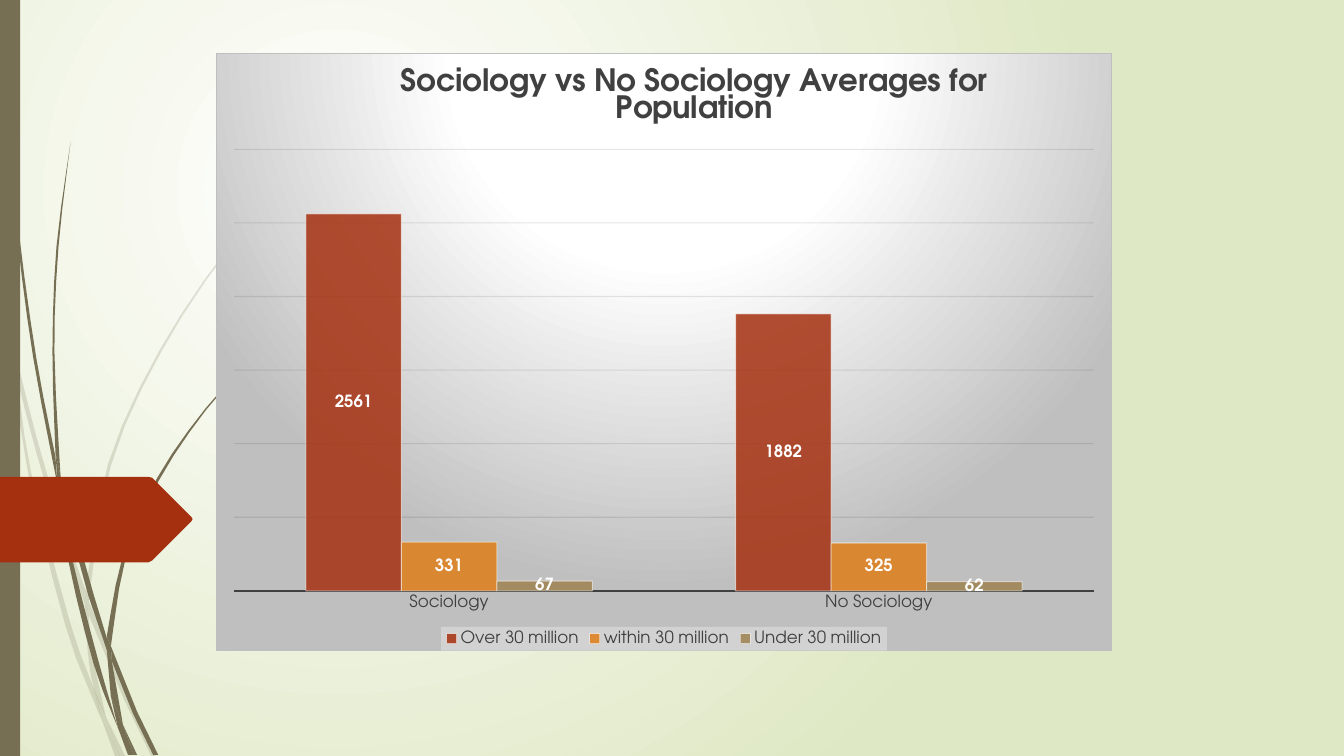
from lxml import etree
from pptx import Presentation, util as u
from pptx.chart.data import CategoryChartData
from pptx.dml.color import RGBColor
from pptx.enum import chart as ch, shapes
from pptx.oxml import parse_xml
from pptx.oxml.ns import nsdecls, qn

WIDTH, HEIGHT = u.Inches(13.33), u.Inches(7.5)
FONT = "TeX Gyre Adventor"
OLIVE = RGBColor(0x76, 0x6F, 0x54)
RED = RGBColor(0xA5, 0x30, 0x10)
ORANGE = RGBColor(0xDE, 0x7E, 0x18)
TAN = RGBColor(0x9F, 0x83, 0x51)
WHITE = RGBColor(0xFF, 0xFF, 0xFF)
PALE_GREEN = RGBColor(0xDF, 0xE8, 0xC4)
SILVER = RGBColor(0xBF, 0xBF, 0xBF)
MIST = RGBColor(0xF2, 0xF2, 0xF2)
INK = RGBColor(0x40, 0x40, 0x40)
BLACK = RGBColor(0x0D, 0x0D, 0x0D)

# Each blade of grass has two edges, listed from top to bottom in inches.
FADED_BLADES = [
    ([(0, 2.82), (.09, 3.22), (.11, 3.5)], [(0, 2.99), (.1, 3.44), (.11, 3.5)]),
    ([(.14, 3.45), (.36, 4.33), (.62, 5.2), (.85, 5.86)],
     [(.17, 3.76), (.36, 4.49), (.58, 5.22), (.84, 5.99)]),
    ([(.88, 5.96), (1.27, 6.92), (1.55, 7.5)], [(.88, 6.1), (1.23, 6.94), (1.5, 7.5)]),
    ([(1.05, 7.11), (1.24, 7.5)], [(1.05, 7.11), (1.19, 7.5)]),
    ([(.11, 3.5), (.17, 3.76), (.31, 4.69), (.7, 6.19), (.93, 6.83), (1.01, 7.14)],
     [(.11, 3.5), (.28, 4.7), (.65, 6.21), (.92, 6.93), (1.01, 7.14)]),
    ([(.84, 5.99), (.87, 6.46), (.93, 6.83), (1.05, 7.11)],
     [(.84, 5.99), (.88, 6.1), (.91, 6.46), (1.05, 7.11)]),
    ([(3.12, 1.53), (2.28, 2.44), (1.58, 3.48), (1.07, 4.61), (.85, 5.86)],
     [(3.12, 1.54), (2.29, 2.45), (1.6, 3.49), (1.1, 4.62), (.88, 5.96)]),
    ([(1.01, 7.14), (1.14, 7.5)], [(1.01, 7.14), (1.19, 7.5)]),
    ([(.85, 5.86), (.84, 5.99), (.88, 6.08)], [(.88, 5.96), (.88, 6.1)]),
    ([(.93, 6.83), (1.01, 7.14), (1.19, 7.5)], [(1.05, 7.11), (1.19, 7.5)]),
]
SOLID_BLADES = [
    ([(.03, 0), (.07, 1.1), (.17, 2.33), (.33, 3.55), (.57, 4.81)],
     [(.04, 0), (.08, 1.09), (.19, 2.32), (.36, 3.55), (.55, 4.53)]),
    ([(.6, 4.72), (.93, 5.9), (1.06, 6.33)], [(.64, 5.05), (.88, 5.92), (1.06, 6.45)]),
    ([(1.1, 6.41), (1.36, 7.06), (1.57, 7.49)], [(1.11, 6.56), (1.32, 7.08), (1.52, 7.49)]),
    ([(.57, 4.77), (.72, 5.56), (.98, 6.57), (1.17, 7.22)],
     [(.57, 4.77), (.68, 5.57), (.93, 6.59), (1.17, 7.22)]),
    ([(.7, 1.41), (.56, 2.45), (.52, 3.49), (.55, 4.49)],
     [(.7, 1.41), (.58, 2.45), (.54, 3.49), (.6, 4.72)]),
    ([(1.22, 7.19), (1.36, 7.49)], [(1.22, 7.19), (1.33, 7.49)]),
    ([(.55, 4.49), (.57, 4.77), (.64, 5.05)], [(.6, 4.72), (.64, 5.05)]),
    ([(2.6, 3.44), (2.04, 4.05), (1.56, 4.74), (1.22, 5.51), (1.06, 6.31)],
     [(2.61, 3.44), (2.05, 4.06), (1.58, 4.76), (1.25, 5.52), (1.1, 6.41)]),
    ([(1.17, 7.22), (1.27, 7.49)], [(1.17, 7.22), (1.31, 7.49)]),
    ([(1.06, 6.45), (1.1, 6.91), (1.22, 7.19)], [(1.11, 6.56), (1.22, 7.19)]),
    ([(1.06, 6.31), (1.06, 6.45), (1.11, 6.56)], [(1.1, 6.41), (1.11, 6.56)]),
    ([(1.1, 6.91), (1.17, 7.22), (1.3, 7.49)], [(1.22, 7.19), (1.33, 7.49)]),
]
TAG = [(0, 4.73), (1.47, 4.73), (1.51, 4.74), (1.9, 5.13), (1.91, 5.15), (1.9, 5.17),
       (1.51, 5.56), (1.47, 5.58), (0, 5.58)]
SERIES = [("Over 30 million", (2561, 1882), RED), ("within 30 million", (331, 325), ORANGE),
          ("Under 30 million", (67, 62), TAN)]


def set_all(target, values):
    """Set every attribute named in a dict."""
    for name, value in values.items():
        setattr(target, name, value)


def fade(fill, percent):
    """Make a solid fill partly transparent."""
    color = fill._xPr.find(qn("a:solidFill"))[0]
    etree.SubElement(color, qn("a:alpha"), val=str(percent * 1000))


def radial_fill(stops, **rect):
    """Return a circular gradient element; stops and rect are percentages."""
    marks = "".join(f'<a:gs pos="{at * 1000}"><a:srgbClr val="{color}"/></a:gs>'
                    for at, color in stops)
    sides = " ".join(f'{side}="{share * 1000}"' for side, share in rect.items())
    return parse_xml(f'<a:gradFill {nsdecls("a")} rotWithShape="1"><a:gsLst>{marks}</a:gsLst>'
                     f'<a:path path="circle"><a:fillToRect {sides}/></a:path></a:gradFill>')


def smooth(points, steps=3):
    """Run a Catmull-Rom curve through a long edge; keep a short one as it is."""
    if len(points) < 4:
        return points
    ends = [points[0], *points, points[-1]]
    curve = [points[0]]
    for a, b, c, d in zip(ends, ends[1:], ends[2:], ends[3:]):
        for t in (step / steps for step in range(1, steps + 1)):
            curve.append(tuple(q + t / 2 * (r - p + t * (2 * p - 5 * q + 4 * r - s
                               + t * (3 * q - p - 3 * r + s)))
                               for p, q, r, s in zip(a, b, c, d)))
    return curve


def paint(shape, color, opacity=100):
    """Give a shape a plain fill without line or shadow."""
    shape.shadow.inherit = False
    shape.fill.solid()
    shape.fill.fore_color.rgb = color
    shape.line.fill.background()
    if opacity < 100:
        fade(shape.fill, opacity)


def add_outline(holder, points, color, opacity=100):
    """Draw a closed outline through points in inches."""
    first, *rest = [(u.Inches(x), u.Inches(y)) for x, y in points]
    builder = holder.build_freeform(*first)
    builder.add_line_segments(rest, close=True)
    paint(builder.convert_to_shape(), color, opacity)


def add_grass(page, blades, opacity):
    """Draw a group of grass blades."""
    group = page.shapes.add_group_shape()
    for left, right in blades:
        add_outline(group.shapes, smooth(left) + smooth(right)[::-1], OLIVE, opacity)


def set_layout(parent, inner=False, **shares):
    """Place a chart part by shares of the chart's size."""
    for old in parent.findall(qn("c:layout")):
        parent.remove(old)
    modes = {"layoutTarget": "inner"} if inner else {}
    modes.update(xMode="edge", yMode="edge", **shares)
    items = "".join(f'<c:{name} val="{value}"/>' for name, value in modes.items())
    layout = parse_xml(f'<c:layout {nsdecls("c")}><c:manualLayout>{items}'
                       '</c:manualLayout></c:layout>')
    if inner:
        parent.insert(0, layout)
    else:
        parent.find(qn("c:tx")).addnext(layout)


def style_line(line, color, width, opacity=100):
    """Set colour, width and opacity of a line."""
    line.color.rgb = color
    line.width = u.Pt(width)
    if opacity < 100:
        fade(line.fill, opacity)


def style_font(font, size, color, bold=False):
    """Set a chart font."""
    set_all(font, {"name": FONT, "size": u.Pt(size), "bold": bold})
    font.color.rgb = color


def style_axes(chart):
    """Show category names and faint value gridlines."""
    names, values = chart.category_axis, chart.value_axis
    set_all(names, {"major_tick_mark": ch.XL_TICK_MARK.NONE, "has_major_gridlines": False})
    style_font(names.tick_labels.font, 12, INK)
    style_line(names.format.line, INK, 1.5)
    set_all(values, {"minimum_scale": 0, "maximum_scale": 3000, "major_unit": 500,
                     "has_major_gridlines": True})
    style_line(values.major_gridlines.format.line, BLACK, .75, 10)
    values.visible = False


def style_series(series, color):
    """Colour the bars and centre their values."""
    series.format.fill.solid()
    series.format.fill.fore_color.rgb = color
    fade(series.format.fill, 85)
    style_line(series.format.line, WHITE, .75, 50)
    labels = series.data_labels
    set_all(labels, {"show_value": True, "position": ch.XL_LABEL_POSITION.CENTER})
    style_font(labels.font, 12, WHITE, bold=True)


def style_legend(chart):
    """Put the legend at the bottom on a pale panel."""
    chart.has_legend = True
    set_all(chart.legend, {"position": ch.XL_LEGEND_POSITION.BOTTOM, "include_in_layout": False})
    style_font(chart.legend.font, 12, INK)
    panel = parse_xml(f'<c:spPr {nsdecls("c", "a")}><a:solidFill><a:srgbClr val="{MIST}">'
                      '<a:alpha val="39000"/></a:srgbClr></a:solidFill></c:spPr>')
    chart.legend._element.find(qn("c:txPr")).addprevious(panel)


def add_population_chart(page):
    """Add the clustered column chart of averages."""
    data = CategoryChartData()
    data.categories = ["Sociology", "No Sociology"]
    for name, values, _ in SERIES:
        data.add_series(name, values)
    chart = page.shapes.add_chart(ch.XL_CHART_TYPE.COLUMN_CLUSTERED, *map(
        u.Inches, (2.14, .53, 8.89, 5.93)), data).chart
    style_font(chart.font, 10, RGBColor(0, 0, 0))
    chart.has_title = True
    title = chart.chart_title.text_frame
    title.text = "Sociology vs No Sociology Averages for Population"
    style_font(title.paragraphs[0].runs[0].font, 22, INK, bold=True)
    set_layout(chart.chart_title._element, x=.2, y=.01)
    set_layout(chart._chartSpace.chart.plotArea, inner=True, x=.02, y=.16, w=.96, h=.74)
    set_all(chart.plots[0], {"gap_width": 150, "overlap": 0, "vary_by_categories": False})
    for series, (_, _, color) in zip(chart.plots[0].series, SERIES):
        style_series(series, color)
    style_axes(chart)
    style_legend(chart)
    frame = parse_xml(f'<c:spPr {nsdecls("c", "a")}><a:ln w="9525"><a:solidFill>'
                      f'<a:srgbClr val="{SILVER}"/></a:solidFill></a:ln></c:spPr>')
    frame.insert(0, radial_fill([(0, WHITE), (39, WHITE), (100, SILVER)],
                                l=50, t=-80, r=50, b=180))
    chart._chartSpace.chart.addnext(frame)


def main():
    """Build the slide and save it."""
    deck = Presentation()
    set_all(deck, {"slide_width": WIDTH, "slide_height": HEIGHT})
    page = deck.slides.add_slide(deck.slide_layouts[6])
    page.background.fill.solid()
    plain = page.background.fill._xPr.find(qn("a:solidFill"))
    plain.getparent().replace(plain, radial_fill([(0, WHITE), (100, PALE_GREEN)],
                                                 l=50, t=50, r=100, b=100))
    add_grass(page, FADED_BLADES, 20)
    add_grass(page, SOLID_BLADES, 100)
    paint(page.shapes.add_shape(shapes.MSO_SHAPE.RECTANGLE, 0, 0, u.Inches(.2), HEIGHT), OLIVE)
    add_outline(page.shapes, TAG, RED)
    add_population_chart(page)
    deck.save("out.pptx")


if __name__ == "__main__":
    main()
